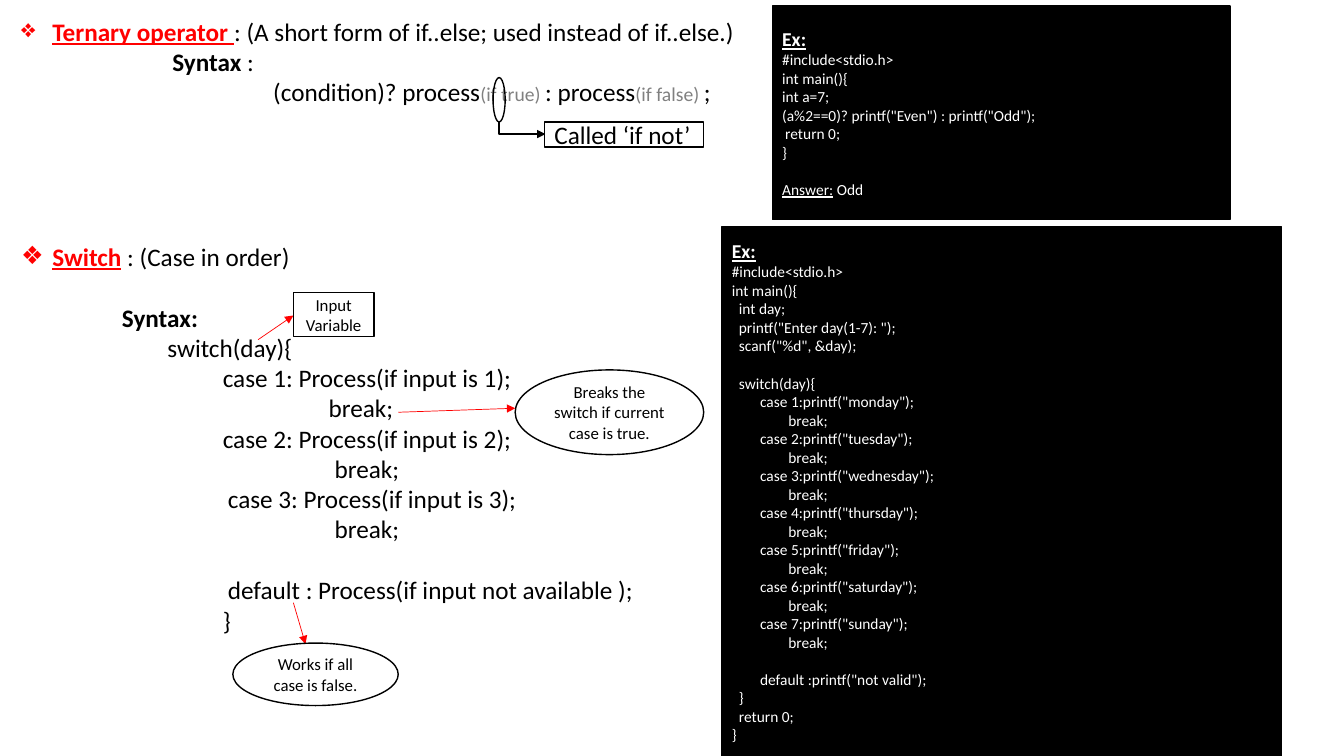
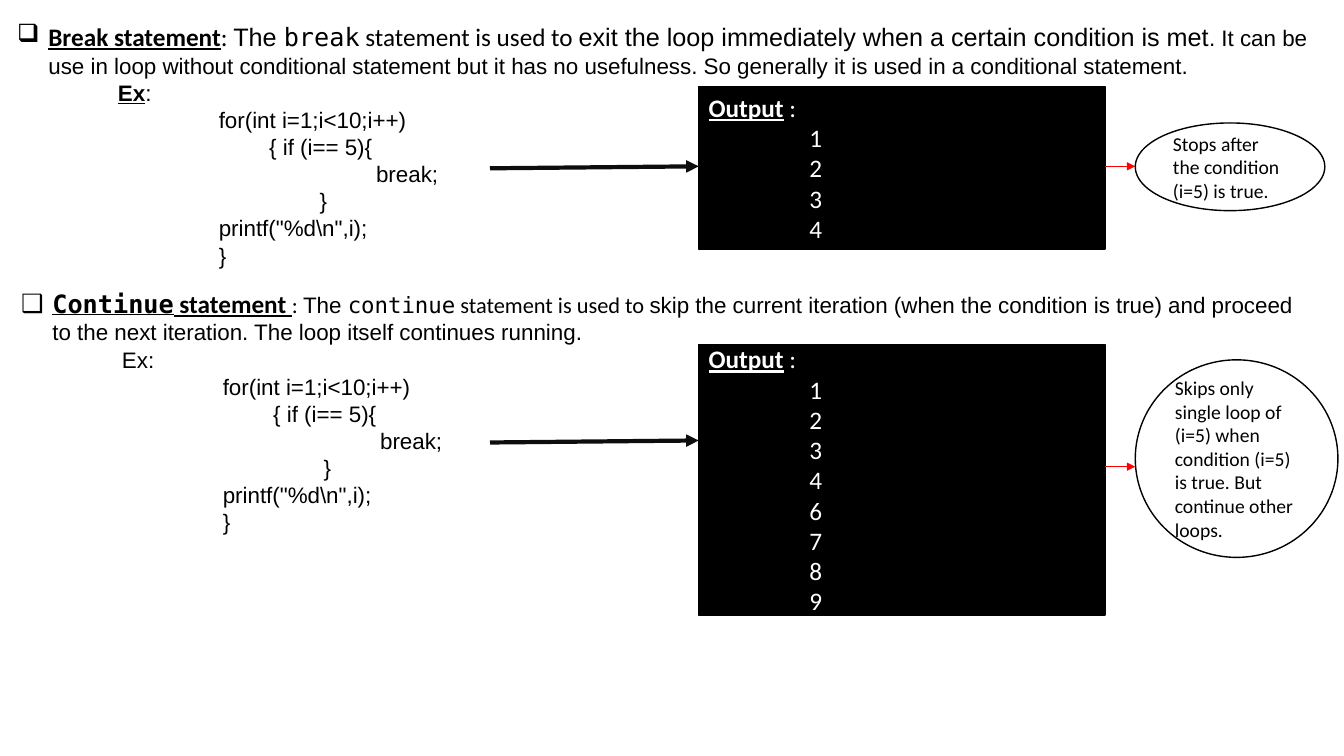
"""Builds two slides on C control flow: ternary, switch, break and continue."""
from dataclasses import dataclass

from lxml import etree
from pptx import Presentation
from pptx.dml.color import RGBColor
from pptx.enum.shapes import MSO_CONNECTOR, MSO_SHAPE
from pptx.enum.text import MSO_ANCHOR, MSO_AUTO_SIZE, PP_ALIGN
from pptx.oxml.ns import qn
from pptx.util import Inches, Pt

RECT, OVAL = MSO_SHAPE.RECTANGLE, MSO_SHAPE.OVAL
STRAIGHT, ELBOW = MSO_CONNECTOR.STRAIGHT, MSO_CONNECTOR.ELBOW
LEFT, CENTER = PP_ALIGN.LEFT, PP_ALIGN.CENTER
TOP, MIDDLE = MSO_ANCHOR.TOP, MSO_ANCHOR.MIDDLE
FIXED = MSO_AUTO_SIZE.NONE
TWO_CONTENT = 3
HANG = 3.1


def cells(count):
    """Turns grid cells of a tenth of an inch into a length."""
    return Inches(count / 10)


def apply(target, values):
    """Sets each named attribute of the target."""
    for name, value in values.items():
        setattr(target, name, value)


def font(size, color, name="Calibri", bold=False, underline=False):
    """Returns the format values of one text style."""
    return {"size": Pt(size), "name": name, "bold": bold,
            "underline": underline, "color": RGBColor.from_string(color)}


class Theme:
    """Colours, type sizes and line styles of the deck."""
    BLACK, WHITE, RED, GREY, INK = "000000", "FFFFFF", "FF0000", "808080", "0D0D0D"
    LARGE, MEDIUM, SMALL, NOTE, CODE = 18, 16, 14, 12, 11
    LINE_GAP, CODE_GAP, ARIAL_PITCH = 22, 13.4, 19.4
    MONO = "DejaVu Sans Mono"
    STYLES = {
        "text": font(LARGE, BLACK),
        "strong": font(LARGE, BLACK, bold=True),
        "term": font(LARGE, BLACK, bold=True, underline=True),
        "red term": font(LARGE, RED, bold=True, underline=True),
        "mono term": font(LARGE, BLACK, MONO, True, True),
        "hint": font(SMALL, GREY),
        "lead": font(LARGE, BLACK, "Arial"),
        "lead mono": font(LARGE, BLACK, MONO),
        "plain": font(MEDIUM, BLACK, "Arial"),
        "plain term": font(MEDIUM, BLACK, "Arial", True, True),
        "medium": font(MEDIUM, BLACK),
        "medium mono": font(MEDIUM, BLACK, MONO),
        "note": font(NOTE, BLACK),
        "remark": font(SMALL, BLACK),
        "code": font(CODE, WHITE),
        "code link": font(CODE, WHITE, underline=True),
        "code head": font(SMALL, WHITE, bold=True, underline=True),
        "output": font(LARGE, WHITE),
        "output head": font(LARGE, WHITE, bold=True, underline=True),
    }
    OUTLINE = (BLACK, 1)
    POINTER = (RED, 0.5)
    FLOW = (INK, 3)


@dataclass
class Line:
    """One paragraph: styled runs, indent in cells and spacing in points."""
    runs: list
    indent: float = 0
    gap: float = 0
    bullet: str = ""
    pitch: float = 0


def line(text, style, indent=0, gap=0, pitch=0):
    """Returns a paragraph of a single run."""
    return Line([(text, style)], indent, gap, pitch=pitch)


class Deck:
    """Draws elements in one style on the current slide."""

    def __init__(self, theme):
        self.theme = theme
        self.slide = None
        self.show = Presentation()
        apply(self.show, {"slide_width": cells(133.3), "slide_height": cells(75)})

    def new_slide(self):
        """Starts a slide with a title and two bodies."""
        self.slide = self.show.slides.add_slide(self.show.slide_layouts[TWO_CONTENT])

    def place(self, index, at, lines, wrap=False):
        """Fills and moves the title (0) or a body (1, 2) placeholder."""
        holder = self.slide.placeholders[index]
        apply(holder, dict(zip(("left", "top", "width", "height"), map(cells, at))))
        frame = {"word_wrap": wrap, "vertical_anchor": TOP, "margin_left": 0,
                 "margin_right": 0, "margin_top": 0, "margin_bottom": 0}
        self.fill_text(holder.text_frame, lines, frame)

    def box(self, kind, at, lines=(), fill=Theme.WHITE, align=LEFT):
        """Adds an outlined shape, unfilled if fill is None."""
        shape = self.slide.shapes.add_shape(kind, *map(cells, at))
        shape.shadow.inherit = False
        if fill:
            shape.fill.solid()
            shape.fill.fore_color.rgb = RGBColor.from_string(fill)
        else:
            shape.fill.background()
        self.stroke(shape, self.theme.OUTLINE)
        if lines:
            frame = {"word_wrap": True, "vertical_anchor": MIDDLE}
            self.fill_text(shape.text_frame, lines, frame, align)

    def panel(self, at, lines):
        """Adds a black console panel."""
        self.box(RECT, at, lines, self.theme.BLACK)

    def arrow(self, start, end, style=Theme.POINTER):
        """Adds a straight arrow."""
        self.connect(STRAIGHT, start, end, style)

    def elbow(self, start, end, style=Theme.OUTLINE):
        """Adds an arrow that runs down and then right."""
        (x1, y1), (x2, y2) = start, end
        mid_x, mid_y = (x1 + x2) / 2, (y1 + y2) / 2
        across, down = (x2 - x1) / 2, (y2 - y1) / 2
        bent = self.connect(ELBOW, (mid_x + down, mid_y - across),
                            (mid_x - down, mid_y + across), style)
        properties = bent._element.spPr
        properties.find(qn("a:xfrm")).set("rot", "16200000")
        properties.find(qn("a:prstGeom")).set("prst", "bentConnector2")

    def connect(self, kind, start, end, style):
        """Adds a connector with a triangle head at its end."""
        link = self.slide.shapes.add_connector(kind, *map(cells, (*start, *end)))
        self.stroke(link, style)
        properties = link._element.spPr
        etree.SubElement(properties.get_or_add_ln(), qn("a:tailEnd"), type="triangle")
        etree.SubElement(properties, qn("a:effectLst"))
        return link

    def stroke(self, shape, style):
        """Sets the colour and width of a line."""
        color, width = style
        shape.line.color.rgb = RGBColor.from_string(color)
        shape.line.width = Pt(width)

    def fill_text(self, frame, lines, values, align=LEFT):
        """Puts paragraphs into a text frame."""
        apply(frame, {"auto_size": FIXED, **values})
        for number, item in enumerate(lines):
            paragraph = frame.add_paragraph() if number else frame.paragraphs[0]
            apply(paragraph, {"alignment": align, "space_before": Pt(item.gap),
                              "space_after": Pt(0),
                              "line_spacing": Pt(item.pitch) if item.pitch else 1.0})
            properties = paragraph._p.get_or_add_pPr()
            hang = cells(HANG) if item.bullet else 0
            properties.set("marL", str(hang or cells(item.indent)))
            properties.set("indent", str(-hang))
            if item.bullet:
                etree.SubElement(properties, qn("a:buChar"), char=item.bullet)
            else:
                etree.SubElement(properties, qn("a:buNone"))
            for text, style in item.runs:
                run = paragraph.add_run()
                run.text = text
                look = dict(self.theme.STYLES[style])
                run.font.color.rgb = look.pop("color")
                apply(run.font, look)


def console(rows):
    """Returns code lines under an example heading."""
    return [line("Ex:", "code head")] + [line(text, "code", *layout) for text, *layout in rows]


def output(numbers):
    """Returns the lines of an output panel."""
    head = Line([("Output", "output head"), (" :", "output")])
    return [head] + [line(str(number), "output", 10) for number in numbers]


def loop_code():
    """Returns the loop that both jump statements show."""
    rows = [("for(int i=1;i<10;i++)", 20), ("{ if (i== 5){", 25), ("break;", 35.6),
            ("}", 30), ('printf("%d\\n",i);', 20), ("}", 20)]
    return [line(text, "plain", indent, pitch=Theme.ARIAL_PITCH) for text, indent in rows]


def choices(deck):
    """Draws the slide on the ternary operator and switch."""
    deck.new_slide()
    deck.place(0, (2.1, 1.6, 71, 3), [Line([
        ("Ternary operator ", "red term"),
        (": (A short form of if..else; used instead of if..else.)", "text")], bullet="❖")])
    deck.place(1, (2.1, 4.6, 71, 6.1), [
        Line([("Syntax", "strong"), (" :", "text")], 15),
        Line([("(condition)? process", "text"), ("(if true) ", "hint"),
              (": process", "text"), ("(if false) ", "hint"), (";", "text")], 25)])
    deck.box(OVAL, (48.9, 7.7, 1.2, 4.4), fill=None)
    deck.elbow((49.5, 12.1), (54.1, 13.3))
    deck.box(RECT, (54, 12.1, 15.8, 2.5), [line("Called ‘if not’", "text")])
    ternary = console([
        ("#include<stdio.h>",), ("int main(){",), ("int a=7;",),
        ('(a%2==0)? printf("Even") : printf("Odd");',), ("return 0;", 0.3), ("}",)])
    answer = Line([("Answer:", "code link"), (" Odd", "code")], gap=Theme.CODE_GAP)
    deck.panel((76.6, 0.6, 45.4, 21.2), ternary + [answer])

    syntax = [("switch(day){", 14.5), ("case 1: Process(if input is 1);", 20), ("break;", 30.5),
              ("case 2: Process(if input is 2);", 20), ("break;", 31.1),
              ("case 3: Process(if input is 3);", 20.5), ("break;", 31.1),
              ("default : Process(if input not available );", 20.5, Theme.LINE_GAP), ("}", 20)]
    heading = Line([("Switch", "red term"), (" : (Case in order)", "text")], bullet="❖")
    deck.place(2, (2.1, 23.9, 61.5, 39.4), [
        heading, line("Syntax:", "strong", 10, Theme.LINE_GAP),
        *(line(text, "text", *layout) for text, *layout in syntax)])
    days = ("monday", "tuesday", "wednesday", "thursday", "friday", "saturday", "sunday")
    cases = [row for number, day in enumerate(days, 1)
             for row in ((f'case {number}:printf("{day}");', 2.8), ("break;", 5.6))]
    deck.panel((71.6, 22.5, 55.5, 52.5), console([
        ("#include<stdio.h>",), ("int main(){",), ("int day;", 0.7),
        ('printf("Enter day(1-7): ");', 0.7), ('scanf("%d", &day);', 0.7),
        ("switch(day){", 0.7, Theme.CODE_GAP), *cases,
        ('default :printf("not valid");', 2.8, Theme.CODE_GAP),
        ("}", 0.7), ("return 0;", 0.7), ("}",)]))
    notes = [
        (RECT, (29.1, 29, 8, 4.4), "Input Variable", (25.6, 33.7), (29.1, 31.3)),
        (OVAL, (51.1, 36.7, 18.7, 8.4), "Breaks the switch if current case is true.",
         (39.5, 40.9), (51.1, 40.5)),
        (OVAL, (23.1, 63.8, 16.4, 6.2), "Works if all case is false.",
         (29.1, 59.8), (30.3, 63.9))]
    for kind, at, text, start, end in notes:
        deck.arrow(start, end)
        deck.box(kind, at, [line(text, "note")], align=CENTER)


def jumps(deck):
    """Draws the slide on break and continue."""
    pitch = Theme.ARIAL_PITCH
    deck.new_slide()
    deck.place(0, (1.7, 2.1, 128.6, 5.7), [
        Line([("Break statement", "term"), (": ", "text"), ("The ", "lead"),
              ("break", "lead mono"), (" statement is used to ", "text"),
              ("exit the loop immediately when a certain condition is met", "lead"),
              (". It can be", "plain")], bullet="❑"),
        line("use in loop without conditional statement but it has no usefulness. "
             "So generally it is used in a conditional statement.", "plain", HANG, pitch=pitch)])
    deck.place(1, (1.7, 7.8, 66, 18.9), [
        Line([("Ex", "plain term"), (":", "plain")], 10, pitch=pitch), *loop_code()])
    deck.place(2, (2.1, 28.6, 128.3, 25), [
        Line([("Continue", "mono term"), (" statement ", "term"), (": ", "medium"),
              ("The ", "plain"), ("continue", "medium mono"),
              (" statement is used to ", "medium"),
              ("skip the current iteration (when the condition is true) and proceed to the "
               "next iteration. The loop itself continues running.", "plain")], bullet="❑"),
        line("Ex:", "plain", 10, pitch=pitch), *loop_code()], wrap=True)
    results = [
        (8.6, 16.1, range(1, 5), 16.7, 16.5, (112.6, 12.2, 18.8, 8.7),
         "Stops after the condition (i=5) is true."),
        (34.2, 26.8, (1, 2, 3, 4, 6, 7, 8, 9), 43.9, 46.3, (112.6, 35.7, 20.1, 19.6),
         "Skips only single loop of (i=5) when condition (i=5) is true. "
         "But continue other loops.")]
    for top, height, numbers, flow, pointer, at, remark in results:
        deck.arrow((48.6, flow), (69.3, flow - 0.2), Theme.FLOW)
        deck.panel((69.3, top, 40.3, height), output(numbers))
        deck.arrow((109.6, pointer), (112.6, pointer))
        deck.box(OVAL, at, [line(remark, "remark")])


def main():
    """Builds and saves the deck."""
    deck = Deck(Theme())
    choices(deck)
    jumps(deck)
    deck.show.save("out.pptx")


if __name__ == "__main__":
    main()
